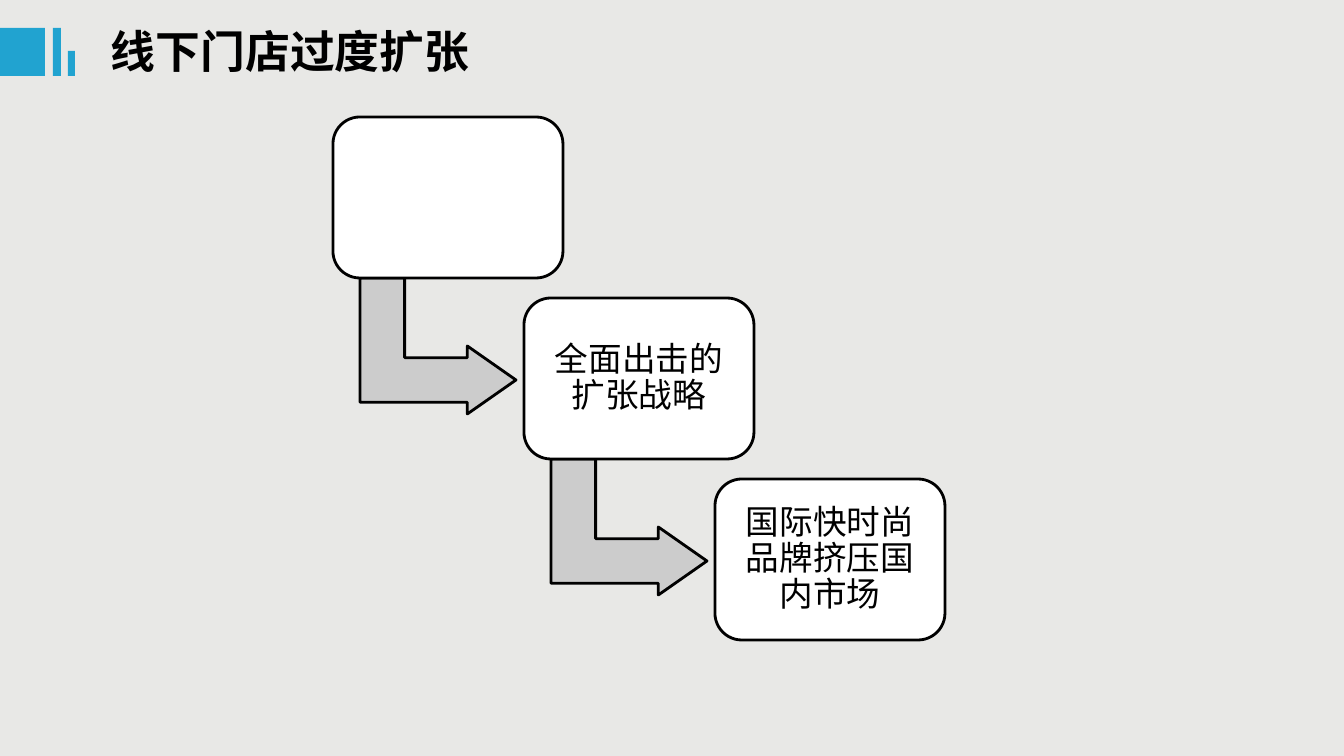
from lxml import etree
from pptx import Presentation
from pptx import util as u
from pptx.dml.color import RGBColor
from pptx.enum import shapes, text
from pptx.oxml.ns import qn

PX = 914400 / 100.8
FONT = "Noto Sans CJK SC"
SHAPE = shapes.MSO_SHAPE

prs = Presentation()
prs.slide_width, prs.slide_height = round(1344 * PX), round(756 * PX)
s = prs.slides.add_slide(prs.slide_layouts[6])
s.background.fill.solid()
s.background.fill.fore_color.rgb = RGBColor.from_string("E8E8E6")


def add_block(kind, box, fill, line=None, adj=()):
    sp = s.shapes.add_shape(kind, *(round(v * PX) for v in box))
    sp.shadow.inherit = False
    sp.fill.solid()
    sp.fill.fore_color.rgb = RGBColor.from_string(fill)
    if line:
        sp.line.color.rgb = RGBColor.from_string(line)
        sp.line.width = u.Pt(2)
    else:
        sp.line.fill.background()
    for i, v in enumerate(adj):
        sp.adjustments[i] = v
    return sp


def write(sp, words, size=24, bold=False, color="000000", align=None, anchor=None, spacing=None, inset=None):
    tf = sp.text_frame
    tf.word_wrap = True
    if anchor is not None:
        tf.vertical_anchor = anchor
    if inset is not None:
        tf.margin_left = tf.margin_top = tf.margin_right = tf.margin_bottom = round(inset * PX)
    p = tf.paragraphs[0]
    p.alignment = align
    p.line_spacing = spacing
    r = p.add_run()
    r.text = words
    r.font.size = u.Pt(size)
    r.font.bold = bold
    r.font.name = FONT
    r.font.color.rgb = RGBColor.from_string(color)
    etree.SubElement(r.font._element, qn("a:ea")).set("typeface", FONT)


for bar in [(0, 28, 45, 48), (53, 28, 8, 48), (68, 51, 7, 25)]:
    add_block(SHAPE.RECTANGLE, bar, "21A3D0")

title = s.shapes.add_textbox(*(round(v * PX) for v in (101, 19, 408, 64)))
write(title, "线下门店过度扩张", size=32, bold=True)

steps = ["", "全面出击的扩张战略", "国际快时尚品牌挤压国内市场"]
for i, words in enumerate(steps):
    x, y = 333 + 191 * i, 117 + 181 * i
    if i < len(steps) - 1:
        arrow = add_block(SHAPE.BENT_UP_ARROW, (x + 37, y + 151, 136, 156), "CCCCCC", "000000", (0.328, 0.25, 0.358))
        arrow.rotation = 90
    step = add_block(SHAPE.ROUNDED_RECTANGLE, (x, y, 230, 161), "FFFFFF", "000000", (0.167,))
    if words:
        write(step, words, align=text.PP_ALIGN.CENTER, anchor=text.MSO_ANCHOR.MIDDLE, spacing=0.9, inset=10)

prs.save("out.pptx")
